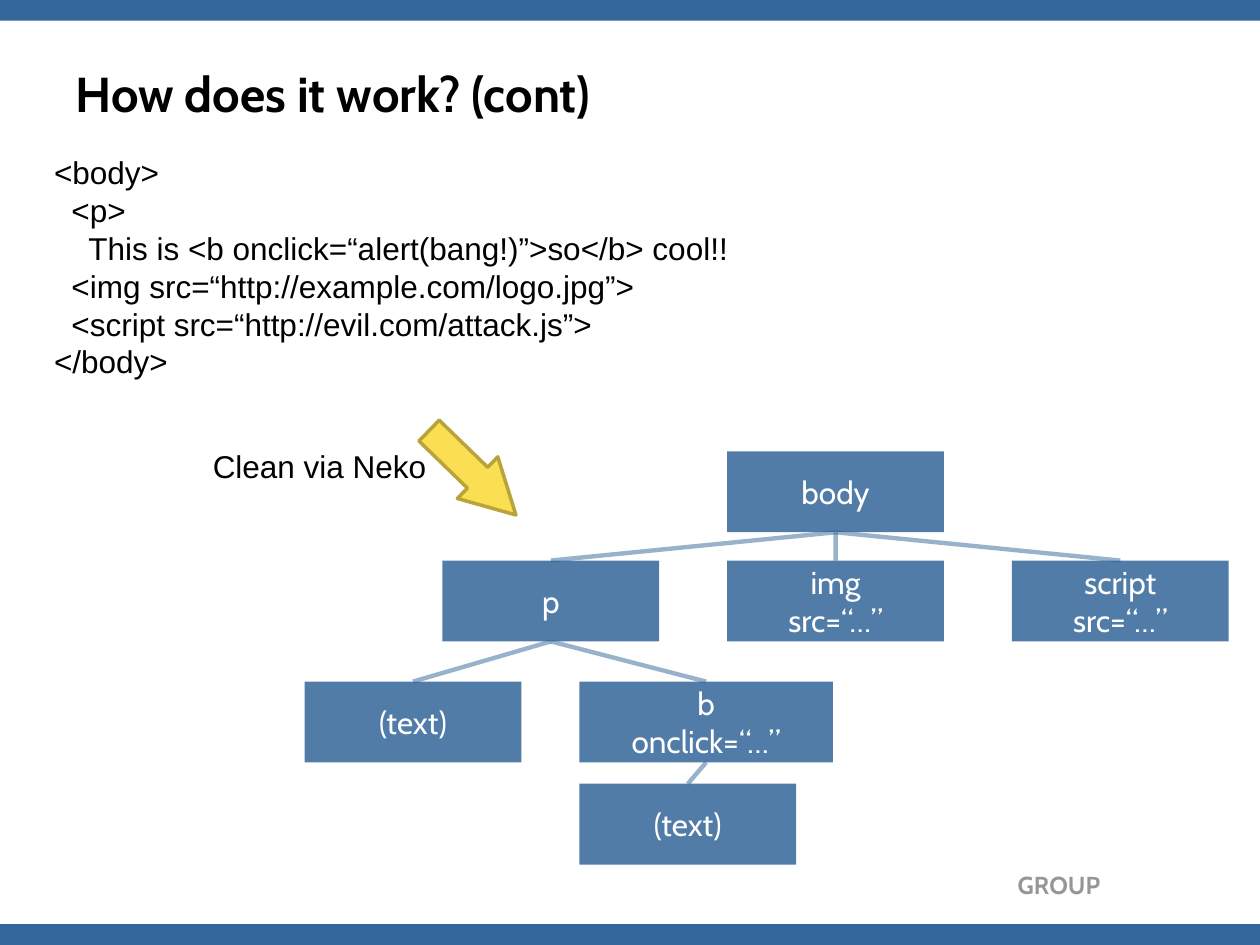
import pptx
import pptx.util
import pptx.dml.color
import pptx.enum.shapes
import pptx.enum.text
import pptx.oxml.ns
from lxml import etree

Cm, Pt = pptx.util.Cm, pptx.util.Pt
SHAPE = pptx.enum.shapes.MSO_SHAPE
ALIGN = pptx.enum.text.PP_ALIGN
ANCHOR = pptx.enum.text.MSO_ANCHOR
qn = pptx.oxml.ns.qn

BLUE, BLACK, WHITE, GREY = "336699", "000000", "FFFFFF", "969696"
YELLOW, GOLD = "FBDF53", "B9A43B"
PAGE_WIDTH, PAGE_HEIGHT, BAR_HEIGHT = 25.4, 19.05, 0.42
NODE_WIDTH, NODE_HEIGHT = 4.37, 1.63
COLUMN_LEFT, COLUMN_STEP = 8.92, 5.74

CODE = [
    "<body>",
    "  <p>",
    "    This is <b onclick=“alert(bang!)”>so</b> cool!!",
    "  <img src=“http://example.com/logo.jpg”>",
    "  <script src=“http://evil.com/attack.js”>",
    "</body>",
]

# name: (lines, left, top, width)
NODES = {
    "body": (["body"], COLUMN_LEFT + COLUMN_STEP, 9.1, NODE_WIDTH),
    "p": (["p"], COLUMN_LEFT, 11.3, NODE_WIDTH),
    "img": (["img", "src=“…”"], COLUMN_LEFT + COLUMN_STEP, 11.3, NODE_WIDTH),
    "script": (["script", "src=“…”"], COLUMN_LEFT + 2 * COLUMN_STEP, 11.3, NODE_WIDTH),
    "p text": (["(text)"], 6.14, 13.74, NODE_WIDTH),
    "b": (["b", "onclick=“…”"], 11.68, 13.74, 5.11),
    "b text": (["(text)"], 11.68, 15.8, NODE_WIDTH),
}
BRANCHES = [("body", "p"), ("body", "img"), ("body", "script"),
            ("p", "p text"), ("p", "b"), ("b", "b text")]


def colour(value):
    return pptx.dml.color.RGBColor.from_string(value)


def set_opacity(shape, percent):
    """Make the first solid colour of a shape or line partly transparent."""
    solid = shape._element.spPr.find(".//" + qn("a:srgbClr"))
    etree.SubElement(solid, qn("a:alpha"), val=str(percent * 1000))


def write(frame, lines, size, font, ink, bold=False, align=ALIGN.LEFT):
    for index, line in enumerate(lines):
        para = frame.paragraphs[0] if index == 0 else frame.add_paragraph()
        para.alignment = align
        span = para.add_run()
        span.text = line
        span.font.size = Pt(size)
        span.font.name = font
        span.font.bold = bold
        span.font.color.rgb = colour(ink)


def add_text(page, left, top, width, height, lines, size, font, ink,
             wrap=True, **style):
    box = page.shapes.add_textbox(Cm(left), Cm(top), Cm(width), Cm(height))
    box.text_frame.word_wrap = wrap
    write(box.text_frame, lines, size, font, ink, **style)


def add_block(page, kind, left, top, width, height, fill):
    block = page.shapes.add_shape(kind, Cm(left), Cm(top), Cm(width), Cm(height))
    block.shadow.inherit = False
    block.fill.solid()
    block.fill.fore_color.rgb = colour(fill)
    block.line.fill.background()
    return block


def add_node(page, lines, left, top, width):
    node = add_block(page, SHAPE.RECTANGLE, left, top, width, NODE_HEIGHT, BLUE)
    set_opacity(node, 85)
    node.text_frame.word_wrap = True
    node.text_frame.vertical_anchor = ANCHOR.MIDDLE
    write(node.text_frame, lines, 18, "Cabin", WHITE, align=ALIGN.CENTER)
    return node


def add_branch(page, parent, child):
    branch = page.shapes.add_connector(
        pptx.enum.shapes.MSO_CONNECTOR.STRAIGHT, 0, 0, 0, 0)
    branch.begin_connect(parent, 2)
    branch.end_connect(child, 0)
    branch.line.width = Pt(2.5)
    branch.line.color.rgb = colour(BLUE)
    set_opacity(branch, 50)
    etree.SubElement(branch._element.spPr, qn("a:effectLst"))


def set_title(page, text):
    title = page.shapes.title
    title.left, title.top = Cm(1.27), Cm(0.76)
    title.width, title.height = Cm(22.86), Cm(2.21)
    title.text_frame.vertical_anchor = ANCHOR.MIDDLE
    write(title.text_frame, [text], 28, "Cabin", BLACK, bold=True)


def add_arrow(page):
    arrow = add_block(page, SHAPE.DOWN_ARROW, 8.94, 8.31, 1.17, 2.44, YELLOW)
    arrow.adjustments[0] = 0.5
    arrow.adjustments[1] = 0.92
    arrow.rotation = 314.2
    arrow.line.color.rgb = colour(GOLD)
    arrow.line.width = Pt(2)


def main():
    deck = pptx.Presentation()
    deck.slide_width, deck.slide_height = Cm(PAGE_WIDTH), Cm(PAGE_HEIGHT)
    page = deck.slides.add_slide(deck.slide_layouts[5])

    # Bars, footer and title
    for top in (0, PAGE_HEIGHT - BAR_HEIGHT):
        add_block(page, SHAPE.RECTANGLE, 0, top, PAGE_WIDTH, BAR_HEIGHT, BLUE)
    add_text(page, 15.8, 17.42, 6.63, 0.86, ["GROUP"], 14, "Cabin", GREY,
             bold=True, align=ALIGN.RIGHT)
    set_title(page, "How does it work? (cont)")

    # Parsed tree
    nodes = {name: add_node(page, *node) for name, node in NODES.items()}
    for parent, child in BRANCHES:
        add_branch(page, nodes[parent], nodes[child])

    # Markup and the cleaning step
    add_text(page, 0.84, 2.97, 14.4, 4.83, CODE, 18, "Arial", BLACK)
    add_arrow(page)
    add_text(page, 4.04, 8.89, 4.98, 1.02, ["Clean via Neko"], 18, "Arial",
             BLACK, wrap=False)

    deck.save("out.pptx")


if __name__ == "__main__":
    main()
